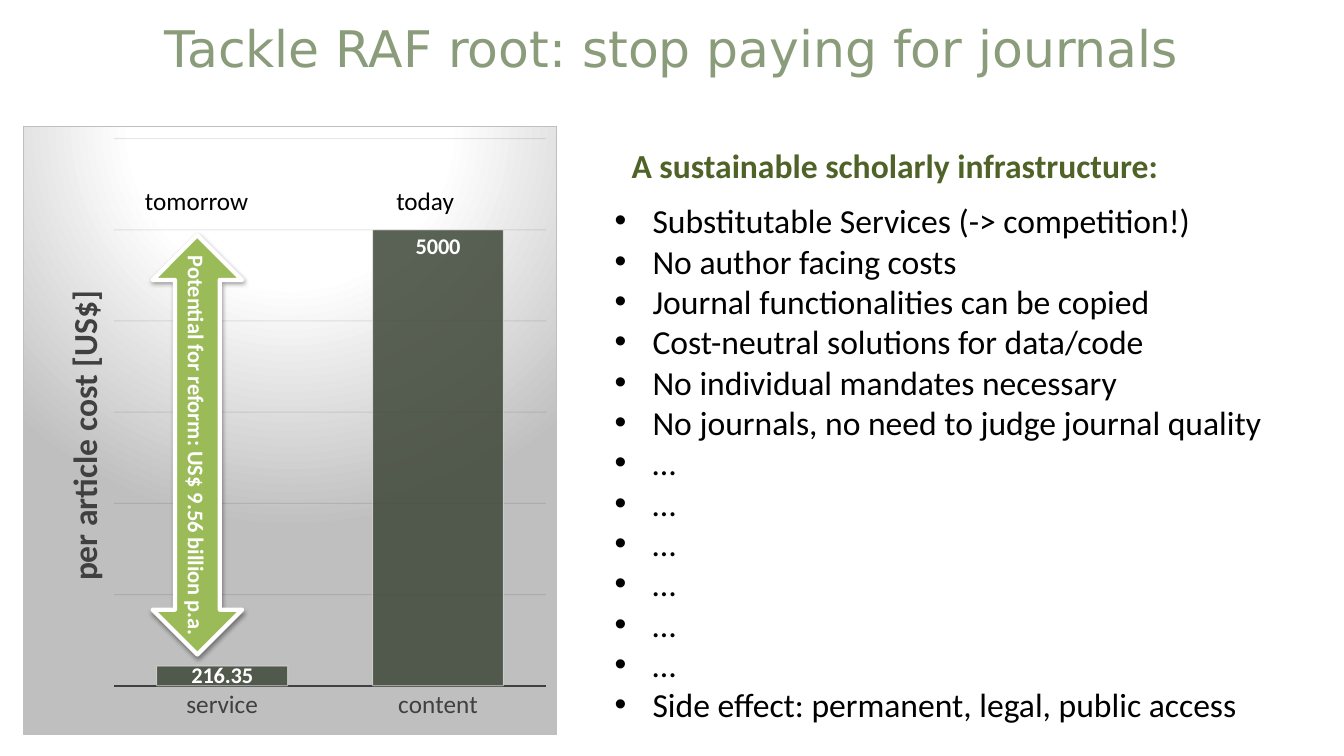
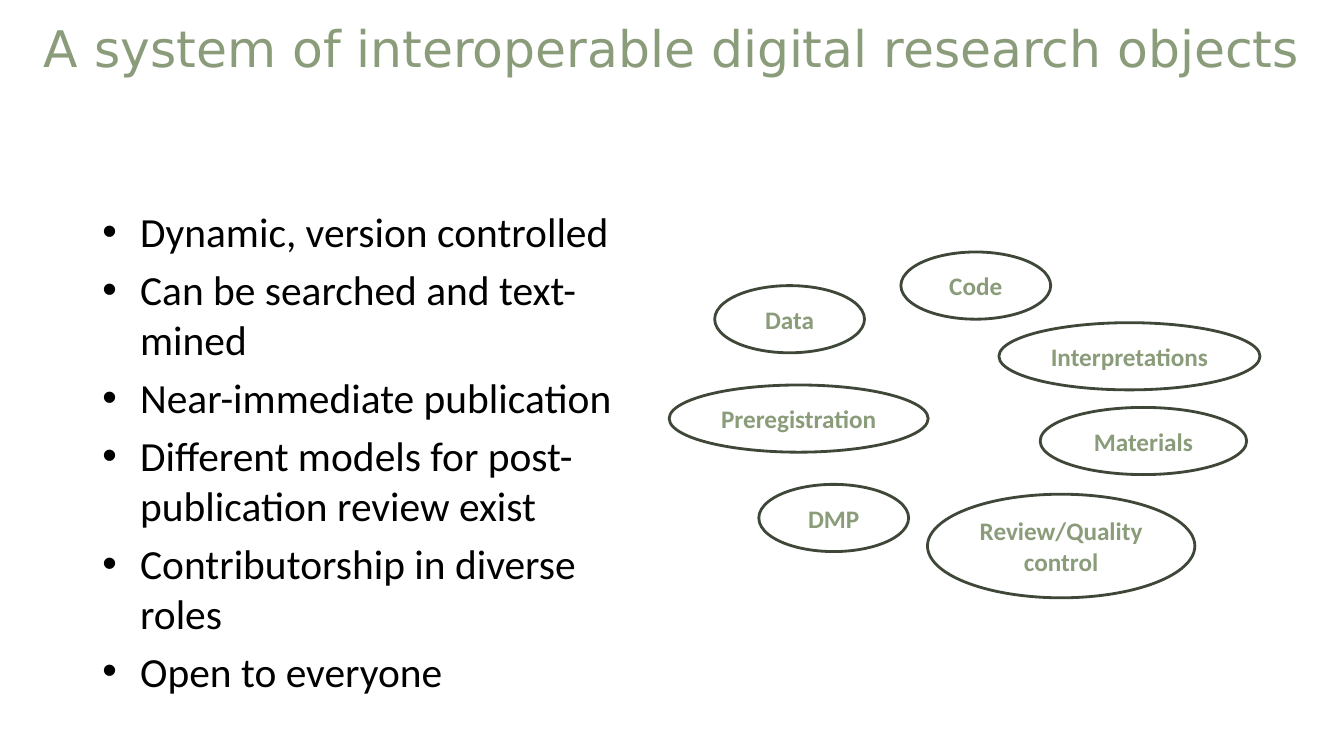
from dataclasses import dataclass
from typing import NamedTuple

from lxml.etree import SubElement
from pptx import Presentation
from pptx.chart.chart import Chart
from pptx.chart.data import CategoryChartData
from pptx.dml.color import RGBColor
from pptx.enum.chart import XL_CHART_TYPE, XL_LABEL_POSITION, XL_TICK_MARK
from pptx.enum.shapes import MSO_SHAPE
from pptx.enum.text import MSO_ANCHOR, PP_ALIGN
from pptx.oxml import parse_xml
from pptx.oxml.ns import nsdecls, qn
from pptx.slide import Slide
from pptx.text.text import Font, TextFrame
from pptx.util import Pt


@dataclass(frozen=True)
class Theme:
    title_font: str = "DejaVu Sans"
    body_font: str = "Calibri"
    sage: RGBColor = RGBColor(0x8A, 0x9C, 0x7A)
    moss: RGBColor = RGBColor(0x3E, 0x47, 0x38)
    leaf: RGBColor = RGBColor(0x9B, 0xBB, 0x59)
    olive: RGBColor = RGBColor(0x4F, 0x62, 0x28)
    axis: RGBColor = RGBColor(0x40, 0x40, 0x40)
    grid: RGBColor = RGBColor(0x0D, 0x0D, 0x0D)
    panel: RGBColor = RGBColor(0xBF, 0xBF, 0xBF)
    black: RGBColor = RGBColor(0, 0, 0)
    white: RGBColor = RGBColor(0xFF, 0xFF, 0xFF)
    title_size: float = 36
    bullet_size: float = 29.6
    heading_size: float = 24
    label_size: float = 18
    small_size: float = 16


THEME = Theme()
PAGE_WIDTH, PAGE_HEIGHT = 960, 540
BULLET_INDENT = 27


class Box(NamedTuple):
    left: float
    top: float
    width: float
    height: float

    def lengths(self) -> list[Pt]:
        return [Pt(value) for value in self]


class Style(NamedTuple):
    size: float
    color: RGBColor = THEME.black
    bold: bool = False
    font: str = THEME.body_font


class Bubble(NamedTuple):
    text: str
    box: Box


SERVICES = [
    "Substitutable Services (-> competition!)",
    "No author facing costs",
    "Journal functionalities can be copied",
    "Cost-neutral solutions for data/code",
    "No individual mandates necessary",
    "No journals, no need to judge journal quality",
    *["…"] * 6,
    "Side effect: permanent, legal, public access",
]
FEATURES = [
    "Dynamic, version controlled",
    "Can be searched and text-mined",
    "Near-immediate publication",
    "Different models for post-publication review exist",
    "Contributorship in diverse roles",
    "Open to everyone",
]
BUBBLES = [
    Bubble("Data", Box(510.5, 204, 107, 48)),
    Bubble("Code", Box(643.5, 180, 107, 48)),
    Bubble("Preregistration", Box(478, 275, 185, 48)),
    Bubble("DMP", Box(542, 346, 107, 48)),
    Bubble("Interpretations", Box(713.5, 230.5, 186.5, 48)),
    Bubble("Materials", Box(743, 291, 147.5, 48)),
    Bubble("Review/Quality control", Box(662.5, 353, 191, 74)),
]


def apply_style(font: Font, style: Style) -> None:
    font.name = style.font
    font.size = Pt(style.size)
    font.bold = style.bold
    font.color.rgb = style.color


def write(frame: TextFrame, lines: list[str], style: Style,
          align: PP_ALIGN = PP_ALIGN.LEFT, bullets: bool = False, gap: float = 0) -> None:
    for index, line in enumerate(lines):
        para = frame.add_paragraph() if index else frame.paragraphs[0]
        para.alignment = align
        if gap and index:
            para.space_before = Pt(gap)
        if bullets:
            properties = para._p.get_or_add_pPr()
            properties.set("marL", str(Pt(BULLET_INDENT)))
            properties.set("indent", str(-Pt(BULLET_INDENT)))
            SubElement(properties, qn("a:buFont")).set("typeface", "Arial")
            SubElement(properties, qn("a:buChar")).set("char", "•")
        span = para.add_run()
        span.text = line
        apply_style(span.font, style)


def add_text(page: Slide, box: Box, lines: list[str], style: Style, wrap: bool = True,
             align: PP_ALIGN = PP_ALIGN.LEFT, anchor: MSO_ANCHOR = MSO_ANCHOR.TOP,
             bullets: bool = False, gap: float = 0, rotation: float = 0) -> None:
    shape = page.shapes.add_textbox(*box.lengths())
    shape.rotation = rotation
    shape.text_frame.word_wrap = wrap
    shape.text_frame.vertical_anchor = anchor
    write(shape.text_frame, lines, style, align, bullets, gap)


def add_page(deck: Presentation, title: str) -> Slide:
    page = deck.slides.add_slide(deck.slide_layouts[6])
    add_text(page, Box(0, 0, PAGE_WIDTH, 67.5), [title],
             Style(THEME.title_size, THEME.sage, font=THEME.title_font),
             align=PP_ALIGN.CENTER, anchor=MSO_ANCHOR.MIDDLE)
    return page


def set_alpha(chart: Chart, query: str, percent: int) -> None:
    for color in chart.element.xpath(query):
        SubElement(color, qn("a:alpha")).set("val", str(percent * 1000))


def place(parent, index: int, target: str = "", **fractions: float) -> None:
    """Give a chart part a manual layout, in fractions of the chart."""
    for old in parent.findall(qn("c:layout")):
        parent.remove(old)
    layout = parse_xml(f"<c:layout {nsdecls('c')}><c:manualLayout/></c:layout>")
    manual = layout[0]
    if target:
        SubElement(manual, qn("c:layoutTarget")).set("val", target)
    for axis in "xy":
        SubElement(manual, qn(f"c:{axis}Mode")).set("val", "edge")
    for name, value in fractions.items():
        SubElement(manual, qn(f"c:{name}")).set("val", str(value))
    parent.insert(index, layout)


def fill_chart_area(chart: Chart) -> None:
    stops = "".join(
        f'<a:gs pos="{position * 1000}"><a:srgbClr val="{color}"/></a:gs>'
        for position, color in [(0, THEME.white), (39, THEME.white), (100, THEME.panel)])
    chart.element.find(qn("c:chart")).addnext(parse_xml(
        f'<c:spPr {nsdecls("c", "a")}><a:gradFill><a:gsLst>{stops}</a:gsLst>'
        '<a:path path="circle"><a:fillToRect l="50000" t="-80000" r="50000" b="180000"/>'
        f'</a:path></a:gradFill><a:ln w="{Pt(0.75)}"><a:solidFill>'
        f'<a:srgbClr val="{THEME.panel}"/></a:solidFill></a:ln></c:spPr>'))
    corners = parse_xml(f'<c:roundedCorners {nsdecls("c")} val="0"/>')
    chart.element.find(qn("c:date1904")).addnext(corners)


def style_axes(chart: Chart) -> None:
    categories, costs = chart.category_axis, chart.value_axis
    categories.major_tick_mark = XL_TICK_MARK.NONE
    categories.format.line.color.rgb = THEME.axis
    categories.format.line.width = Pt(1.5)
    apply_style(categories.tick_labels.font, Style(THEME.label_size, THEME.axis))

    costs.visible = False
    costs.minimum_scale, costs.maximum_scale, costs.major_unit = 0, 6000, 1000
    costs.has_major_gridlines = True
    costs.major_gridlines.format.line.color.rgb = THEME.grid
    costs.major_gridlines.format.line.width = Pt(0.75)
    set_alpha(chart, ".//c:majorGridlines//a:srgbClr", 10)

    frame = costs.axis_title.text_frame
    write(frame, ["per article cost [US$]"],
          Style(THEME.heading_size, THEME.axis, True), PP_ALIGN.CENTER)
    turned = frame._txBody.find(qn("a:bodyPr"))
    turned.set("rot", "-5400000")
    turned.set("vert", "horz")
    place(chart.element.xpath(".//c:valAx/c:title")[0], 1, x=0.06, y=0.26)


def style_columns(chart: Chart) -> None:
    plot = chart.plots[0]
    plot.gap_width = 65
    plot.vary_by_categories = False
    series = plot.series[0]
    series.format.fill.solid()
    series.format.fill.fore_color.rgb = THEME.moss
    series.format.line.color.rgb = THEME.white
    series.format.line.width = Pt(0.75)
    set_alpha(chart, ".//c:ser/c:spPr/a:solidFill/a:srgbClr", 85)
    set_alpha(chart, ".//c:ser/c:spPr/a:ln//a:srgbClr", 50)

    label_style = Style(THEME.small_size, THEME.white, True)
    series.data_labels.show_value = True
    series.data_labels.position = XL_LABEL_POSITION.INSIDE_END
    apply_style(series.data_labels.font, label_style)
    short_column = series.points[0].data_label
    apply_style(short_column.font, label_style)
    short_column.position = XL_LABEL_POSITION.CENTER


def add_cost_chart(page: Slide) -> None:
    data = CategoryChartData()
    data.categories = ["service", "content"]
    data.add_series("Series 1", [216.35, 5000])
    chart = page.shapes.add_chart(
        XL_CHART_TYPE.COLUMN_CLUSTERED, *Box(16.5, 90, 381.5, 435).lengths(), data).chart
    chart.has_title = False
    chart.has_legend = False
    apply_style(chart.font, Style(10))
    fill_chart_area(chart)
    style_axes(chart)
    style_columns(chart)
    place(chart.element.xpath(".//c:plotArea")[0], 0, "inner", x=0.17, y=0.02, w=0.81, h=0.9)


def add_reform_arrow(page: Slide) -> None:
    arrow = page.shapes.add_shape(
        MSO_SHAPE.UP_DOWN_ARROW, *Box(109, 168, 64, 299.5).lengths())
    arrow.fill.solid()
    arrow.fill.fore_color.rgb = THEME.leaf
    arrow.line.color.rgb = THEME.white
    arrow.line.width = Pt(3)
    arrow.shadow.inherit = False
    arrow.element.spPr.find(qn("a:effectLst")).append(parse_xml(
        f'<a:outerShdw {nsdecls("a")} blurRad="{Pt(3.1)}" dist="{Pt(1.6)}" dir="5400000" '
        f'rotWithShape="0"><a:srgbClr val="{THEME.black}"><a:alpha val="38000"/>'
        '</a:srgbClr></a:outerShdw>'))
    add_text(page, Box(-5, 308, 291, 26.5), ["Potential for reform: US$ 9.56 billion p.a."],
             Style(THEME.small_size, THEME.white, True), rotation=90)


def add_bubble(page: Slide, bubble: Bubble) -> None:
    shape = page.shapes.add_shape(MSO_SHAPE.OVAL, *bubble.box.lengths())
    shape.shadow.inherit = False
    shape.fill.background()
    shape.line.color.rgb = THEME.moss
    shape.line.width = Pt(2)
    shape.text_frame.word_wrap = True
    shape.text_frame.vertical_anchor = MSO_ANCHOR.MIDDLE
    write(shape.text_frame, [bubble.text], Style(THEME.label_size, THEME.sage, True),
          PP_ALIGN.CENTER)


def add_cost_page(deck: Presentation) -> None:
    page = add_page(deck, "Tackle RAF root: stop paying for journals")
    add_cost_chart(page)
    add_reform_arrow(page)
    for text, left, width in [("tomorrow", 96.5, 89), ("today", 276, 56)]:
        add_text(page, Box(left, 129, width, 29), [text], Style(THEME.label_size), wrap=False)
    add_text(page, Box(432, 139.5, 502, 385), SERVICES, Style(THEME.heading_size),
             bullets=True)
    add_text(page, Box(444, 100, 394.5, 36), ["A sustainable scholarly infrastructure:"],
             Style(THEME.heading_size, THEME.olive, True), wrap=False)


def add_objects_page(deck: Presentation) -> None:
    page = add_page(deck, "A system of interoperable digital research objects")
    add_text(page, Box(66, 144, 398, 343), FEATURES, Style(THEME.bullet_size),
             bullets=True, gap=5.9)
    for bubble in BUBBLES:
        add_bubble(page, bubble)


def main() -> None:
    deck = Presentation()
    deck.slide_width, deck.slide_height = Pt(PAGE_WIDTH), Pt(PAGE_HEIGHT)
    add_cost_page(deck)
    add_objects_page(deck)
    deck.save("out.pptx")


if __name__ == "__main__":
    main()
